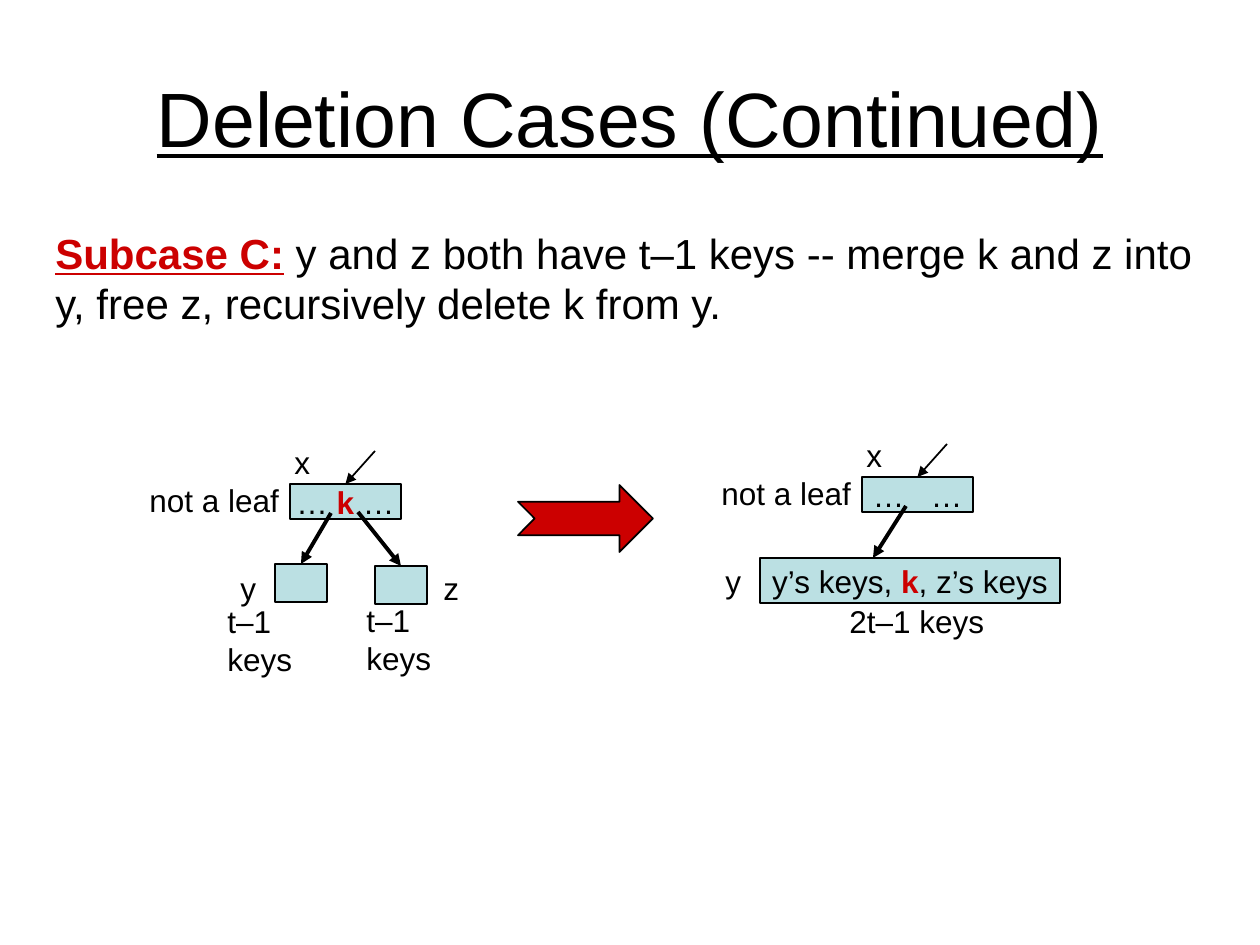
from lxml.etree import SubElement
from pptx import Presentation
from pptx.dml.color import RGBColor
from pptx.enum.shapes import MSO_CONNECTOR, MSO_SHAPE
from pptx.enum.text import MSO_ANCHOR, PP_ALIGN
from pptx.oxml.ns import qn
from pptx.util import Pt

SCALE = 914400 / 126
HUES = {"ink": "000000", "red": "CC0000", "node": "BBE0E3"}
KEY = ("k", {"hue": "red", "bold": True})


def emu(*nums):
    return [round(n * SCALE) for n in nums]


def color(name):
    return RGBColor.from_string(HUES[name])


class Board:
    """Holds the style and the current slide."""

    font = "Arial"
    size = 18
    thin, thick = 1, 2.25

    def __init__(self, slide):
        self.shapes = slide.shapes

    def letter(self, shape, runs, size=None, align=PP_ALIGN.LEFT,
               anchor=MSO_ANCHOR.TOP, wrap=False):
        """Fill a shape with runs, each a string or a (string, format) pair."""
        frame = shape.text_frame
        frame.word_wrap, frame.vertical_anchor = wrap, anchor
        para = frame.paragraphs[0]
        para.alignment = align
        for item in runs:
            words, extra = (item, {}) if isinstance(item, str) else item
            run = para.add_run()
            run.text = words
            style = {"name": self.font, "size": Pt(size or self.size), **extra}
            run.font.color.rgb = color(style.pop("hue", "ink"))
            for name, value in style.items():
                setattr(run.font, name, value)

    def text(self, box, *runs, **opts):
        self.letter(self.shapes.add_textbox(*emu(*box)), runs, **opts)

    def shape(self, box, kind=MSO_SHAPE.RECTANGLE, hue="node"):
        form = self.shapes.add_shape(kind, *emu(*box))
        form.shadow.inherit = False
        form.fill.solid()
        form.fill.fore_color.rgb = color(hue)
        form.line.color.rgb = color("ink")
        form.line.width = Pt(self.thin)
        return form

    def node(self, box, *runs):
        form = self.shape(box)
        if runs:
            self.letter(form, runs, align=PP_ALIGN.CENTER,
                        anchor=MSO_ANCHOR.MIDDLE)
        return form

    def split(self, box, left, right, inset, stop):
        """Draw a node with two parts, the second one at a tab stop."""
        form = self.shape(box)
        frame = form.text_frame
        frame.margin_left, frame.margin_right = emu(inset, 0)
        props = frame.paragraphs[0]._p.get_or_add_pPr()
        tabs = SubElement(props, qn("a:tabLst"))
        SubElement(tabs, qn("a:tab"), pos=str(emu(stop)[0]), algn="l")
        self.letter(form, [f"{left}\t{right}"], anchor=MSO_ANCHOR.MIDDLE,
                    wrap=True)
        return form

    def arrow(self, start, end, width, goal=None):
        """Draw an arrow, joined to the top of goal if there is one."""
        line = self.shapes.add_connector(
            MSO_CONNECTOR.STRAIGHT, *emu(*start, *end))
        if goal is not None:
            line.end_connect(goal, 0)
        line.line.color.rgb = color("ink")
        line.line.width = Pt(width)
        props = line._element.spPr
        SubElement(props.find(qn("a:ln")), qn("a:tailEnd"), type="triangle")
        SubElement(props, qn("a:effectLst"))

    def label(self, x, y, words, wide=40):
        self.text((x, y, wide, 50), words)

    def around(self, node, x, y):
        """Add the pointer and labels of a parent node placed at x, y."""
        self.arrow((x + 85, y - 33), (x + 55, y), self.thin, node)
        self.label(x - 8, y - 47, "x")
        self.label(x - 153, y - 9, "not a leaf", 155)


def before(board):
    x, y = 290, 484
    parent = board.node((x, y, 111, 35), "… ", KEY, " …")
    board.around(parent, x, y)
    for left, top, start in ((275, 564, (331, 513)), (375, 566, (358, 512))):
        child = board.node((left, top, 52, 38))
        board.arrow(start, (left + 26, top), board.thick, child)
    board.label(228, 563, "y")
    board.label(431, 563, "z")
    board.label(215, 596, "t–1 keys", 142)
    board.label(354, 595, "t–1 keys", 142)


def after(board):
    x, y = 862, 477
    parent = board.split((x, y, 111, 35), "…", "…", 11, 58)
    board.around(parent, x, y)
    board.node((760, 558, 300, 45), "y’s keys, ", KEY, ", z’s keys")
    board.arrow((906, 506), (873, 558), board.thick)
    board.label(713, 556, "y")
    board.label(837, 596, "2t–1 keys", 160)


def main():
    deck = Presentation()
    deck.slide_width, deck.slide_height = emu(1260, 945)
    board = Board(deck.slides.add_slide(deck.slide_layouts[6]))
    board.text((63, 38, 1134, 157),
               ("Deletion Cases (Continued)", {"underline": True}),
               size=44, align=PP_ALIGN.CENTER, anchor=MSO_ANCHOR.MIDDLE,
               wrap=True)
    board.text((43, 221, 1162, 113),
               ("Subcase C:", {"hue": "red", "bold": True, "underline": True}),
               " y and z both have t–1 keys -- merge k and z into y, "
               "free z, recursively delete k from y.",
               size=24, wrap=True)
    before(board)
    after(board)
    board.shape((518, 485, 135, 67), MSO_SHAPE.NOTCHED_RIGHT_ARROW, "red")
    deck.save("out.pptx")


if __name__ == "__main__":
    main()
